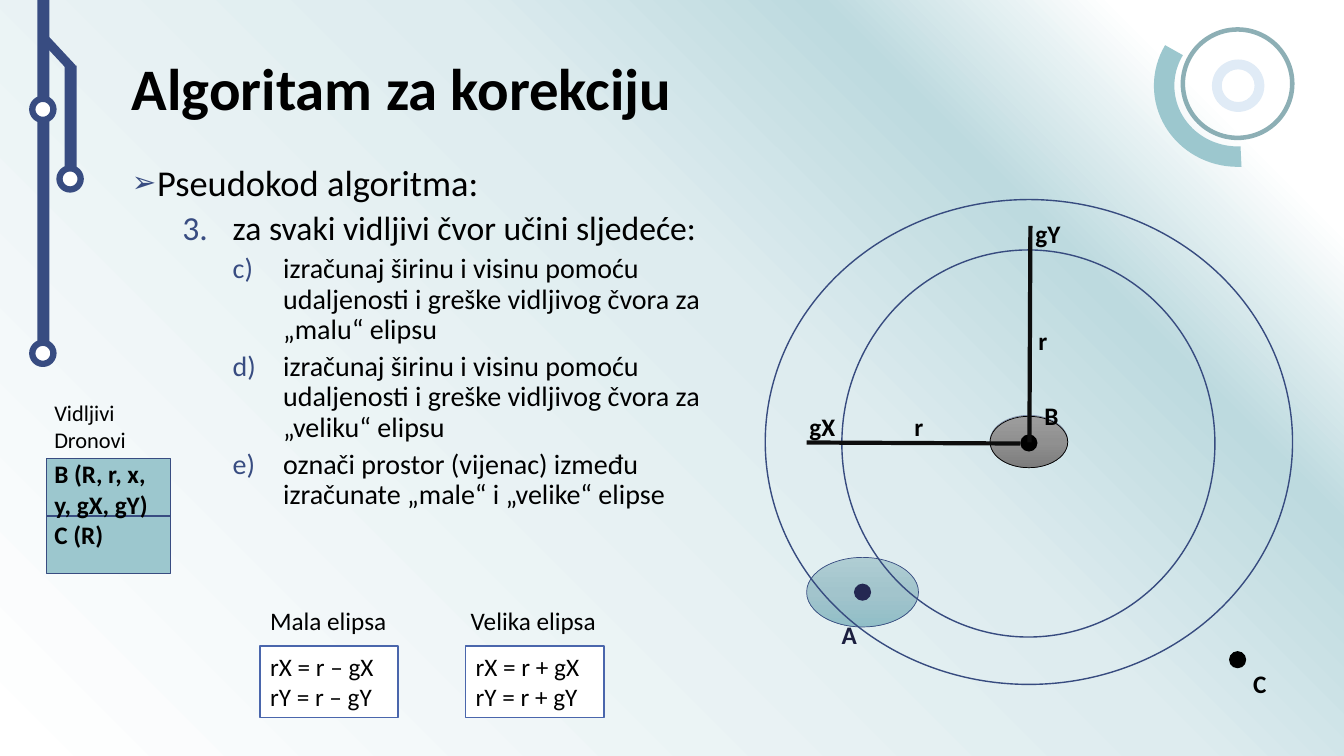
from lxml import etree
from pptx import Presentation
from pptx.dml.color import RGBColor
from pptx.enum.shapes import MSO_CONNECTOR, MSO_SHAPE
from pptx.enum.text import MSO_ANCHOR, PP_ALIGN
from pptx.oxml.ns import qn
from pptx.util import Inches, Pt

OVAL, RECT = MSO_SHAPE.OVAL, MSO_SHAPE.RECTANGLE
DONUT, ARC = MSO_SHAPE.DONUT, MSO_SHAPE.BLOCK_ARC
STRAIGHT, LEFT = MSO_CONNECTOR.STRAIGHT, PP_ALIGN.LEFT
TOP, MIDDLE = MSO_ANCHOR.TOP, MSO_ANCHOR.MIDDLE
FONT = "Calibri"
HEX = {
    "navy": "384C81", "ring": "374B7F", "teal": "9CC7CE", "deep": "417B85",
    "pale": "E0EBF6", "white": "FFFFFF", "black": "000000", "ink": "0D0D0D",
    "dark": "242852", "name": "1B1E3E", "steel": "7F8FA9", "blue": "4A66AC",
}
BACK = [(0, "FFFFFF"), (11, "FFFFFF"), (25, "BDDADF"), (43, "DEECEF"), (100, "FFFFFF")]
BLUISH = [(0, "BEC5D2"), (50, "B2BBC9"), (100, "A6B1C3")]
GREEN = [(0, "AFCDD3"), (50, "A2C4CC"), (100, "91BEC7")]
GREY = [(0, "9D9D9D"), (50, "909090"), (100, "7C7C7C")]

TITLE = "Algoritam za korekciju"
STEP = "izračunaj širinu i visinu pomoću udaljenosti i greške vidljivog čvora za „{}“ elipsu"
# text, level, size, left margin, hanging indent, space before, numbering
BODY = [("Pseudokod algoritma:", 0, 26, 0.25, 0.25, 10, None),
        ("za svaki vidljivi čvor učini sljedeće:", 1, 24, 1, 0.5, 5, "arabicPeriod")]
BODY += [(text, 2, 20, 1.5, 0.5, 5, "alphaLcParenR") for text in (
    STEP.format("malu"), STEP.format("veliku"),
    "označi prostor (vijenac) između izračunate „male“ i „velike“ elipse")]

# kind, box, fill, line colour, line width, extra format
DECOR = [
    (DONUT, (12.02, 0.59, 0.52, 0.52), "pale", None, 0, {"adj": [0.187]}),
    (ARC, (11.47, 0.02, 1.61, 1.66), "teal", None, 0,
     {"rot": 270, "adj": [106.33, 179.53, 0.126]}),
    (DONUT, (11.71, 0.27, 1.13, 1.12), "deep", None, 0, {"adj": [0.04], "alpha": 60}),
    (RECT, (0.64, 0.65, 0.12, 1.05), "navy", None, 0, {}),
    (RECT, (0.37, 0, 0.12, 3.4), "navy", None, 0, {}),
    (RECT, (0.52, 0.29, 0.09, 0.45), "navy", None, 0, {"rot": 317}),
]
DECOR += [(OVAL, (x, y, 0.21, 0.21), "white", "navy", 4.5, {})
          for x, y in ((0.59, 1.67), (0.32, 0.98), (0.32, 3.4))]
ZONES = [
    (OVAL, (9.82, 4.12, 0.77, 0.51), BLUISH, "steel", 0.5, {}),
    (OVAL, (9.82, 4.13, 0.77, 0.51), BLUISH, "steel", 0.5, {}),
    (OVAL, (8, 5.53, 1.11, 0.69), GREEN, "navy", 0.5, {}),
    (OVAL, (9.82, 4.13, 0.77, 0.51), GREY, "black", 0.5, {}),
]
NODES = [(OVAL, (x, y, 0.17, 0.17), hue, None, 0, {}) for x, y, hue in (
    (10.12, 4.31, "black"), (12.19, 6.46, "black"), (8.47, 5.79, "dark"))]
CELLS = [(RECT, (0.46, 4.55 + 0.57 * i, 1.23, 0.57), "teal", "navy", 1, {}) for i in (1, 0)]
RINGS = [(OVAL, box, None, "ring", 1, {}) for box in (
    (8.35, 2.48, 3.7, 3.84), (7.59, 1.98, 5.23, 4.81))]
AXES = [(8, 4.39, 10.12, 4.4), (10.22, 2.24, 10.21, 4.39)]

BOLD, PLAIN = {"bold": True}, {"bold": False}
LABELS = [
    ("A", (8.25, 6.09, 0.38, 0.4), 18, "name", BOLD),
    ("C", (12.33, 6.58, 0.38, 0.4), 18, "black", BOLD),
    ("B", (10.26, 3.92, 0.38, 0.4), 18, "black", BOLD),
    ("Vidljivi\vDronovi", (0.44, 3.91, 0.94, 0.64), 16, "black", PLAIN),
    ("B (R, r, x, y, gX, gY)", (0.44, 4.5, 1.17, 0.71), 18, "black", BOLD),
    ("C (R)", (0.44, 5.1, 0.71, 0.4), 18, "black", BOLD),
    ("r", (8.97, 4.03, 0.38, 0.4), 18, "black", BOLD),
    ("r", (10.2, 3.18, 0.38, 0.4), 18, "black", BOLD),
    ("gX", (7.93, 4.03, 0.48, 0.4), 18, "black", BOLD),
    ("gY", (10.17, 2.12, 0.48, 0.4), 18, "black", BOLD),
    ("Mala elipsa", (2.58, 5.96, 1.48, 0.4), 18, "black", PLAIN),
    ("Velika elipsa", (4.57, 5.96, 1.48, 0.4), 18, "black", PLAIN),
]
RULES = [(2.58, "–"), (4.62, "+")]


def tint(name):
    """Return the named colour."""
    return RGBColor.from_string(HEX[name])


def add(root, tag, **attrs):
    """Append a drawing element with attributes."""
    return etree.SubElement(root, qn("a:" + tag), {k: str(v) for k, v in attrs.items()})


def blend(fill, root, stops, corner=False):
    """Give a downward gradient, or a radial one from the top right corner."""
    fill.gradient()
    grad = next(root.iter(qn("a:gradFill")))
    for child in list(grad):
        grad.remove(child)
    group = add(grad, "gsLst")
    for pos, val in stops:
        add(add(group, "gs", pos=pos * 1000), "srgbClr", val=val)
    if corner:
        add(add(grad, "path", path="circle"), "fillToRect", l=100000, b=100000)
    else:
        add(grad, "lin", ang=5400000, scaled=0)


def write(frame, text, size, hue, style, anchor=TOP):
    """Fill a frame with one paragraph and return it."""
    frame.word_wrap, frame.vertical_anchor = True, anchor
    para = frame.paragraphs[0]
    para.text, para.alignment = text, LEFT
    dress(para, {"name": FONT, "size": Pt(size), **style}, hue)
    return para


def dress(para, style, hue):
    """Set font values on each run."""
    for run in para.runs:
        for key, val in style.items():
            setattr(run.font, key, val)
        run.font.color.rgb = tint(hue)


def draw(kind, box, fill, edge, width, extra):
    """Add a preset shape and return it."""
    shape = shapes.add_shape(kind, *map(Inches, box))
    shape.shadow.inherit = False
    shape.rotation = extra.get("rot", 0)
    for i, val in enumerate(extra.get("adj", [])):
        shape.adjustments[i] = val
    if fill is None:
        shape.fill.background()
    elif isinstance(fill, list):
        blend(shape.fill, shape._element.spPr, fill)
    else:
        shape.fill.solid()
        shape.fill.fore_color.rgb = tint(fill)
    if "alpha" in extra:
        color = next(shape._element.spPr.iter(qn("a:srgbClr")))
        add(color, "alpha", val=extra["alpha"] * 1000)
    if edge:
        shape.line.color.rgb, shape.line.width = tint(edge), Pt(width)
    else:
        shape.line.fill.background()
    return shape


def label(text, box, *look):
    """Add a text box and return its paragraph."""
    return write(shapes.add_textbox(*map(Inches, box)).text_frame, text, *look)


def outline(box):
    """Add the bulleted and numbered steps."""
    frame = shapes.add_textbox(*map(Inches, box)).text_frame
    frame.word_wrap = True
    for i, (text, level, size, margin, hang, gap, kind) in enumerate(BODY):
        para = frame.add_paragraph() if i else frame.paragraphs[0]
        para.text, para.level = text, level
        para.line_spacing, para.space_before = 0.9, Pt(gap)
        dress(para, {"name": FONT, "size": Pt(size)}, "black")
        props = para._p.get_or_add_pPr()
        props.set("marL", str(Inches(margin)))
        props.set("indent", str(-Inches(hang)))
        add(add(props, "buClr"), "srgbClr", val=HEX["navy"])
        if not kind:
            add(props, "buSzPct", val=80000)
        add(props, "buFont", typeface=FONT)
        if kind:
            add(props, "buAutoNum", type=kind, startAt=3)
        else:
            add(props, "buChar", char="➢")


def axis(ends):
    """Add one radius line."""
    line = shapes.add_connector(STRAIGHT, *map(Inches, ends))
    line.line.color.rgb, line.line.width = tint("ink"), Pt(3)
    add(line._element.spPr, "effectLst")


deck = Presentation()
deck.slide_width, deck.slide_height = Inches(13.33), Inches(7.5)
slide = deck.slides.add_slide(deck.slide_layouts[6])
shapes = slide.shapes
blend(slide.background.fill, slide._element, BACK, corner=True)
for item in DECOR:
    draw(*item)
outline((1.21, 1.59, 6.1, 3.82))
head = label(TITLE, (1.21, 0.4, 11.21, 1.02), 42, "black", BOLD, MIDDLE)
head.line_spacing = 0.9
for item in ZONES + NODES + CELLS + RINGS:
    draw(*item)
for ends in AXES:
    axis(ends)
for item in LABELS:
    label(*item)
for left, sign in RULES:
    card = draw(RECT, (left, 6.41, 1.37, 0.71), "white", "blue", 1, {})
    write(card.text_frame, f"rX = r {sign} gX\vrY = r {sign} gY", 18, "black", PLAIN)
deck.save("out.pptx")
